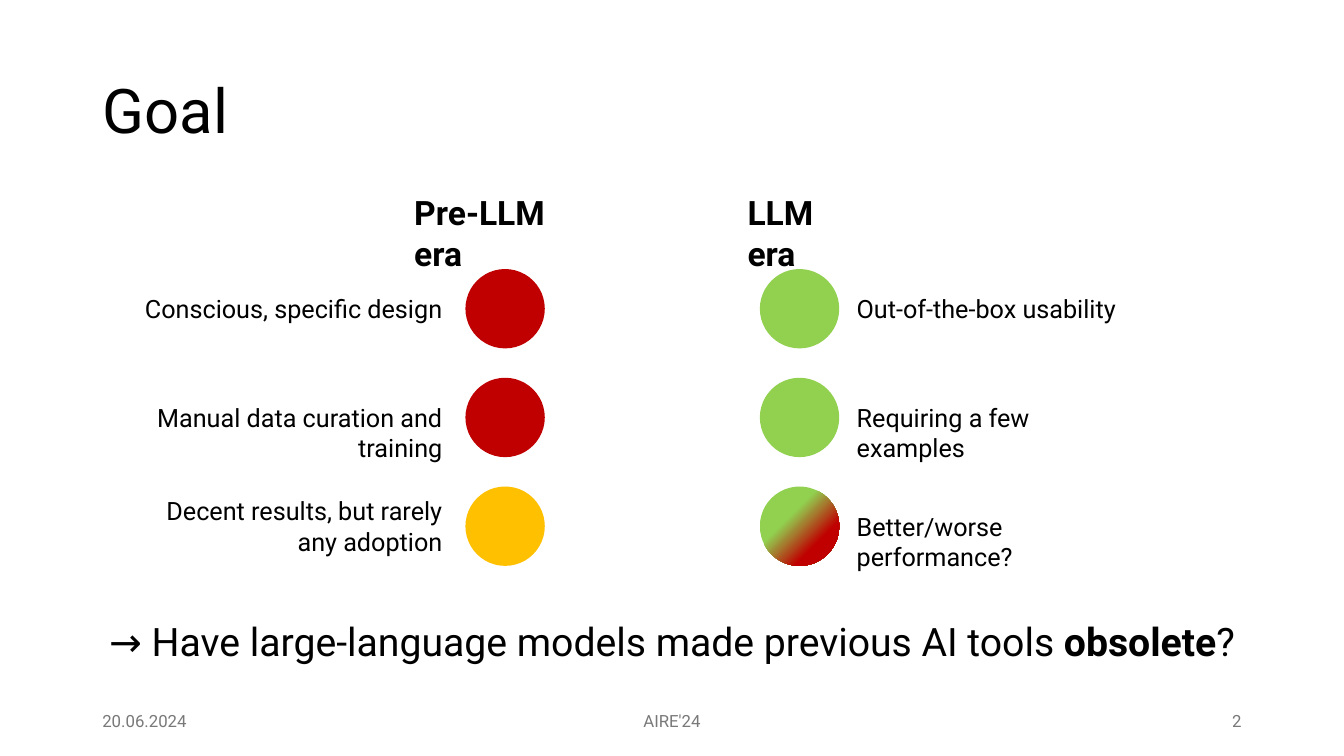
from pptx import Presentation
from pptx.dml.color import RGBColor
from pptx.enum.shapes import MSO_SHAPE
from pptx.enum.text import MSO_ANCHOR, MSO_AUTO_SIZE, PP_ALIGN
from pptx.oxml.ns import qn
from pptx.util import Cm, Pt

LEFT, CENTER, RIGHT = PP_ALIGN.LEFT, PP_ALIGN.CENTER, PP_ALIGN.RIGHT
TOP, MIDDLE = MSO_ANCHOR.TOP, MSO_ANCHOR.MIDDLE
NO_FIT = MSO_AUTO_SIZE.NONE
OVAL = MSO_SHAPE.OVAL

FONT = "Roboto"
BLACK, GRAY = "000000", "797979"
RED, AMBER, GREEN = "C00000", "FFC000", "92D050"

TITLE = "Goal"
QUESTION = [
    ("→ Have large-language models made previous AI tools ", False),
    ("obsolete", True),
    ("?", False),
]

# Lengths below are centimetres.
# Each point: label, label width, circle colours (two make a gradient)
ERAS = [
    {
        "heading": "Pre-LLM era", "heading_left": 10.19, "heading_width": 5.08,
        "circle_left": 11.73, "label_edge": 11.4, "align": RIGHT,
        "points": [
            ("Conscious, specific design", 8.05, [RED]),
            ("Manual data curation and training", 9.75, [RED]),
            ("Decent results, but rarely\nany adoption", 7.58, [AMBER]),
        ],
    },
    {
        "heading": "LLM era", "heading_left": 18.59, "heading_width": 3.5,
        "circle_left": 19.15, "label_edge": 21.34, "align": LEFT,
        "points": [
            ("Out-of-the-box usability", 7.09, [GREEN]),
            ("Requiring a few examples", 7.52, [GREEN]),
            ("Better/worse performance?", 8.1, [GREEN, RED]),
        ],
    },
]
# Text, left, width, alignment
FOOTER = [
    ("20.06.2024", 2.33, 7.62, LEFT),
    ("AIRE'24", 11.22, 11.43, CENTER),
    ("2", 23.92, 7.62, RIGHT),
]

MARGIN, CONTENT_WIDTH = 2.33, 29.21
CIRCLE, FIRST_ROW, ROW_PITCH = 2.0, 6.78, 2.74
LABEL_PADDING, LABEL_LINE = 0.25, 0.77
GRADIENT_STOPS = (0.38, 0.72)


def color(value):
    return RGBColor.from_string(value)


def style_font(font, size, tint=BLACK, bold=False):
    font.name, font.size, font.bold = FONT, Pt(size), bold
    font.color.rgb = color(tint)


def place(shape, left, top, width, height):
    shape.left, shape.top = Cm(left), Cm(top)
    shape.width, shape.height = Cm(width), Cm(height)


def add_text(shapes, text, bounds, size, align=LEFT, anchor=TOP, **style):
    box = shapes.add_textbox(*map(Cm, bounds))
    frame = box.text_frame
    frame.word_wrap = True
    frame.vertical_anchor = anchor
    frame.text = text
    for para in frame.paragraphs:
        para.alignment = align
        for span in para.runs:
            style_font(span.font, size, **style)


def add_circle(shapes, left, top, colors):
    circle = shapes.add_shape(OVAL, Cm(left), Cm(top), Cm(CIRCLE), Cm(CIRCLE))
    circle.shadow.inherit = False
    circle.line.fill.background()
    if len(colors) == 1:
        circle.fill.solid()
        circle.fill.fore_color.rgb = color(colors[0])
        return
    circle.fill.gradient()
    circle.fill.gradient_angle = 315
    for stop, position, tint in zip(circle.fill.gradient_stops, GRADIENT_STOPS, colors):
        stop.position = position
        stop.color.rgb = color(tint)


def add_era(slide, era):
    heading_bounds = (era["heading_left"], 4.72, era["heading_width"], 1.28)
    add_text(slide.shapes, era["heading"], heading_bounds, 24, bold=True)
    for row, (label, width, colors) in enumerate(era["points"]):
        top = FIRST_ROW + row * ROW_PITCH
        height = LABEL_PADDING + LABEL_LINE * len(label.split("\n"))
        left = era["label_edge"] - (width if era["align"] == RIGHT else 0)
        group = slide.shapes.add_group_shape()
        add_circle(group.shapes, era["circle_left"], top, colors)
        label_bounds = (left, top + (CIRCLE - height) / 2, width, height)
        add_text(group.shapes, label, label_bounds, 18, era["align"])


def fill_title(title):
    place(title, MARGIN, 1.02, CONTENT_WIDTH, 3.68)
    frame = title.text_frame
    frame.text = TITLE
    frame.vertical_anchor = MIDDLE
    frame.auto_size = NO_FIT
    para = frame.paragraphs[0]
    para.alignment, para.line_spacing = LEFT, 0.9
    style_font(para.runs[0].font, 44)


def fill_question(body):
    place(body, MARGIN, 15.57, CONTENT_WIDTH, 1.57)
    frame = body.text_frame
    frame.auto_size = NO_FIT
    frame.vertical_anchor = TOP
    para = frame.paragraphs[0]
    para.alignment, para.line_spacing, para.space_before = CENTER, 0.9, Pt(0)
    properties = para._p.get_or_add_pPr()
    properties.set("marL", "0")
    properties.set("indent", "0")
    properties.append(properties.makeelement(qn("a:buNone"), {}))
    for text, bold in QUESTION:
        span = para.add_run()
        span.text = text
        style_font(span.font, 28, bold=bold)


def main():
    deck = Presentation()
    deck.slide_width, deck.slide_height = Cm(33.87), Cm(19.05)
    slide = deck.slides.add_slide(deck.slide_layouts[1])
    fill_title(slide.shapes.title)
    fill_question(slide.placeholders[1])
    for era in ERAS:
        add_era(slide, era)
    for text, left, width, align in FOOTER:
        add_text(slide.shapes, text, (left, 17.65, width, 1.02), 12, align, MIDDLE, tint=GRAY)
    deck.save("out.pptx")


if __name__ == "__main__":
    main()
